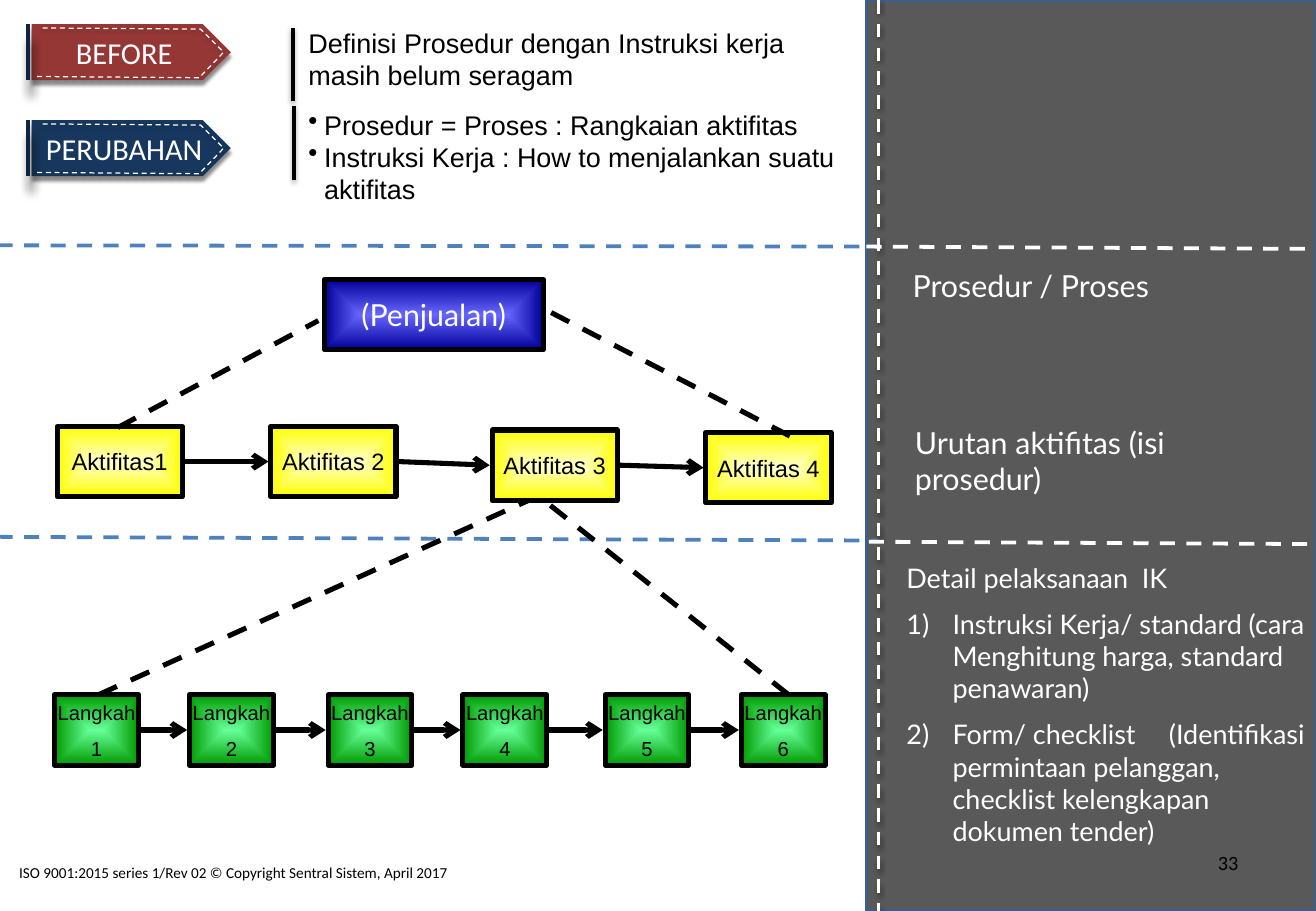
"""Build the slide on the change from procedure to work instruction."""
from dataclasses import dataclass
from itertools import pairwise
from typing import Optional

from lxml.etree import SubElement
from pptx import Presentation
from pptx.dml.color import RGBColor
from pptx.enum.dml import MSO_LINE_DASH_STYLE as Dash
from pptx.enum.shapes import MSO_CONNECTOR as Connector, MSO_SHAPE as Shape
from pptx.enum.text import MSO_ANCHOR as Anchor, PP_ALIGN as Align
from pptx.oxml.ns import qn
from pptx.util import Inches, Pt

COLOURS = {
    "black": "000000", "white": "FFFFFF", "panel": "595959", "panel_edge": "3A5F8C",
    "blue_light": "6666FF", "blue_dark": "000099", "yellow_light": "FFFFCC",
    "yellow": "FFFF00", "green_light": "66FF99", "green_dark": "009900",
    "divider": "4F81BD", "before": "953735", "change": "17375E", "tag_bar": "0F243E",
}


@dataclass(frozen=True)
class Shadow:
    opacity: int
    blur: float
    distance: float
    angle: int


TAG_SHADOW = Shadow(43, 2, 3, 85)
BAR_SHADOW = Shadow(82, 6, 10, 80)
SOFT_SHADOW = Shadow(38, 3.1, 1.6, 90)


@dataclass(frozen=True)
class Font:
    size: float
    name: str
    colour: str


@dataclass(frozen=True)
class Line:
    start: tuple[float, float]
    end: tuple[float, float]
    colour: str = "black"
    width: float = 3
    dashed: bool = False
    arrow: bool = False
    shadow: Optional[Shadow] = None


@dataclass(frozen=True)
class Box:
    left: float
    top: float
    width: float
    height: float
    texts: tuple[str, ...]
    font: Font
    centre: str = ""
    edge: str = ""


@dataclass(frozen=True)
class TextBlock:
    left: float
    top: float
    width: float
    height: float
    texts: tuple[str, ...]
    font: Font
    inset: bool = True
    gap: float = 0
    align: Align = Align.LEFT
    bullet: str = ""
    indent: float = 0
    first_bullet: int = 0
    tabs: tuple[float, ...] = ()


@dataclass(frozen=True)
class Tag:
    top: float
    text: str
    colour: str


LATO = Font(18, "Lato", "white")
LATO_SMALL = Font(16, "Lato", "white")
ARIAL = Font(16, "Arial", "black")
ACTIVITY_FONT = Font(14, "Arial", "black")
STEP_FONT = Font(12, "Arial", "black")

SALES = Box(2.67, 2.3, 1.8, 0.58, ("(Penjualan)",), LATO, "blue_light", "blue_dark")
ACTIVITIES = [
    Box(left, top, 1.03, 0.58, (text,), ACTIVITY_FONT, "yellow_light", "yellow")
    for left, top, text in ((0.47, 3.51, "Aktifitas1"), (2.23, 3.51, "Aktifitas 2"),
                            (4.05, 3.54, "Aktifitas 3"), (5.81, 3.56, "Aktifitas 4"))
]
STEPS = [
    Box(left, 5.72, 0.69, 0.58, ("Langkah", str(number)), STEP_FONT, "green_light", "green_dark")
    for number, left in enumerate((0.45, 1.56, 2.7, 3.81, 4.98, 6.1), 1)
]
TAGS = [Tag(0.2, "BEFORE", "before"), Tag(0.99, "PERUBAHAN", "change")]
LINES = [
    Line((0.97, 3.52), (2.62, 2.64), dashed=True),
    Line((6.5, 3.59), (4.51, 2.56), dashed=True),
    Line((-0.02, 4.42), (7.23, 4.45), "divider", 2.25, True),
    Line((2.41, 0.23), (2.41, 0.83), width=2, shadow=SOFT_SHADOW),
    Line((2.42, 0.87), (2.42, 1.48), width=2, shadow=SOFT_SHADOW),
    Line((-0.02, 2.02), (7.23, 2.03), "divider", 2.25, True),
    Line((7.23, 0), (7.23, 7.5), "white", 2, True, shadow=SOFT_SHADOW),
    Line((7.13, 2.03), (10.92, 2.05), "white", 2.25, True),
    Line((7.15, 4.46), (10.93, 4.48), "white", 2.25, True),
    Line((0.81, 5.72), (4.35, 4.12), dashed=True),
    Line((6.49, 5.72), (4.44, 4.09), dashed=True),
]
TEXT_BLOCKS = [
    TextBlock(7.51, 2.2, 2.42, 0.3, ("Prosedur / Proses",), LATO, inset=False),
    TextBlock(7.53, 3.49, 2.06, 0.61, ("Urutan aktifitas (isi prosedur)",), LATO, inset=False),
    TextBlock(7.46, 4.62, 3.39, 2.69, (
        "Detail pelaksanaan  IK",
        "Instruksi Kerja/ standard (cara Menghitung harga, standard penawaran)",
        "Form/ checklist\t(Identifikasi permintaan pelanggan, checklist kelengkapan dokumen tender)",
    ), LATO_SMALL, False, 8, bullet="1)", indent=0.38, first_bullet=1, tabs=(1.78, 2.16)),
    TextBlock(2.44, 0.17, 4.35, 0.64,
              ("Definisi Prosedur dengan Instruksi kerja masih belum seragam",), ARIAL),
    TextBlock(2.44, 0.84, 4.6, 0.91, (
        "Prosedur = Proses : Rangkaian aktifitas",
        "Instruksi Kerja : How to menjalankan suatu aktifitas",
    ), ARIAL, bullet="•", indent=0.13),
    TextBlock(0.06, 7.06, 7.07, 0.29,
              ("ISO 9001:2015 series 1/Rev 02 © Copyright Sentral Sistem, April 2017",),
              Font(9, "Calibri", "black")),
    TextBlock(7.76, 6.95, 2.53, 0.4, ("33",), Font(12, "Calibri", "black"), align=Align.RIGHT),
]


def rgb(name: str) -> RGBColor:
    """Return the named colour."""
    return RGBColor.from_string(COLOURS[name])


def set_shadow(shape, shadow: Optional[Shadow] = None) -> None:
    """Give a shape the shadow described, or none."""
    effects = SubElement(shape._element.spPr, qn("a:effectLst"))
    if shadow:
        outer = SubElement(effects, qn("a:outerShdw"), blurRad=str(Pt(shadow.blur)),
                           dist=str(Pt(shadow.distance)), dir=str(shadow.angle * 60000),
                           algn="tl", rotWithShape="0")
        colour = SubElement(outer, qn("a:srgbClr"), val=COLOURS["black"])
        SubElement(colour, qn("a:alpha"), val=str(shadow.opacity * 1000))


def set_gradient(shape, centre: str, edge: str) -> None:
    """Fill a shape with a gradient running from its centre."""
    gradient = SubElement(shape._element.spPr, qn("a:gradFill"), rotWithShape="1")
    stops = SubElement(gradient, qn("a:gsLst"))
    for position, name in (("0", centre), ("100000", edge)):
        stop = SubElement(stops, qn("a:gs"), pos=position)
        SubElement(stop, qn("a:srgbClr"), val=COLOURS[name])
    focus = SubElement(gradient, qn("a:path"), path="shape")
    SubElement(focus, qn("a:fillToRect"), l="50000", t="50000", r="50000", b="50000")


def set_bullet(paragraph, block: TextBlock) -> None:
    """Add the hanging indent, bullet and tab stops of a block to a paragraph."""
    properties = paragraph._p.get_or_add_pPr()
    properties.set("marL", str(Inches(block.indent)))
    properties.set("indent", str(-Inches(block.indent)))
    if block.bullet == "1)":
        SubElement(properties, qn("a:buAutoNum"), type="arabicParenR")
    else:
        SubElement(properties, qn("a:buChar"), char=block.bullet)
    if block.tabs:
        tabs = SubElement(properties, qn("a:tabLst"))
        for position in block.tabs:
            SubElement(tabs, qn("a:tab"), pos=str(Inches(position)), algn="l")


def write(frame, texts: tuple[str, ...], font: Font, align: Align, gap: float = 0,
          block: Optional[TextBlock] = None) -> None:
    """Write one paragraph for each text."""
    for index, text in enumerate(texts):
        paragraph = frame.add_paragraph() if index else frame.paragraphs[0]
        paragraph.text = text
        paragraph.alignment = align
        if index and gap:
            paragraph.space_before = Pt(gap)
        if block and block.bullet and index >= block.first_bullet:
            set_bullet(paragraph, block)
        paragraph.font.size, paragraph.font.name = Pt(font.size), font.name
        paragraph.font.color.rgb = rgb(font.colour)


def draw_line(slide, line: Line) -> None:
    """Draw a straight line or arrow."""
    connector = slide.shapes.add_connector(
        Connector.STRAIGHT, *(Inches(value) for value in line.start + line.end))
    connector.line.color.rgb, connector.line.width = rgb(line.colour), Pt(line.width)
    if line.dashed:
        connector.line.dash_style = Dash.DASH
    if line.arrow:
        SubElement(connector.line._get_or_add_ln(), qn("a:tailEnd"), type="arrow")
    set_shadow(connector, line.shadow)


def draw_box(slide, box: Box) -> None:
    """Draw a gradient box with centred text."""
    shape = slide.shapes.add_shape(Shape.RECTANGLE, Inches(box.left), Inches(box.top),
                                   Inches(box.width), Inches(box.height))
    set_gradient(shape, box.centre, box.edge)
    shape.line.color.rgb, shape.line.width = rgb("black"), Pt(3)
    set_shadow(shape)
    shape.text_frame.word_wrap = False
    shape.text_frame.vertical_anchor = Anchor.MIDDLE
    write(shape.text_frame, box.texts, box.font, Align.CENTER, 7)


def draw_chain(slide, boxes: list[Box]) -> None:
    """Draw a row of boxes joined by arrows."""
    for box in boxes:
        draw_box(slide, box)
    for box, following in pairwise(boxes):
        draw_line(slide, Line((box.left + box.width + 0.02, box.top + box.height / 2),
                              (following.left - 0.02, following.top + following.height / 2),
                              arrow=True))


def draw_tag(slide, tag: Tag) -> None:
    """Draw a pointed tag with its side bar and stitching."""
    plate = slide.shapes.add_shape(Shape.PENTAGON, Inches(0.26), Inches(tag.top),
                                   Inches(1.64), Inches(0.46))
    plate.fill.solid()
    plate.fill.fore_color.rgb = rgb(tag.colour)
    plate.line.fill.background()
    set_shadow(plate, TAG_SHADOW)
    plate.text_frame.word_wrap = False
    plate.text_frame.vertical_anchor = Anchor.MIDDLE
    write(plate.text_frame, (tag.text,), Font(18, "Calibri", "white"), Align.CENTER)
    draw_line(slide, Line((0.23, tag.top), (0.23, tag.top + 0.46), "tag_bar", 2,
                          shadow=BAR_SHADOW))
    corners = [(Inches(x), Inches(tag.top + y)) for x, y in
               ((0.35, 0.03), (1.65, 0.04), (1.84, 0.23), (1.64, 0.44), (0.29, 0.43))]
    builder = slide.shapes.build_freeform(*corners[0])
    builder.add_line_segments(corners[1:], close=False)
    stitching = builder.convert_to_shape()
    stitching.fill.background()
    stitching.line.color.rgb, stitching.line.width = rgb("white"), Pt(0.75)
    stitching.line.dash_style = Dash.DASH
    set_shadow(stitching, SOFT_SHADOW)


def draw_text(slide, block: TextBlock) -> None:
    """Draw a wrapped text box."""
    frame = slide.shapes.add_textbox(Inches(block.left), Inches(block.top),
                                     Inches(block.width), Inches(block.height)).text_frame
    frame.word_wrap = True
    if not block.inset:
        frame.margin_left = frame.margin_right = frame.margin_top = frame.margin_bottom = 0
    write(frame, block.texts, block.font, block.align, block.gap, block)


def draw_panel(slide) -> None:
    """Draw the grey panel on the right."""
    panel = slide.shapes.add_shape(Shape.RECTANGLE, Inches(7.13), 0, Inches(3.7), Inches(7.5))
    panel.fill.solid()
    panel.fill.fore_color.rgb = rgb("panel")
    panel.line.color.rgb, panel.line.width = rgb("panel_edge"), Pt(2)
    set_shadow(panel)


def main() -> None:
    """Build and save the presentation."""
    presentation = Presentation()
    presentation.slide_width, presentation.slide_height = Inches(10.83), Inches(7.5)
    slide = presentation.slides.add_slide(presentation.slide_layouts[6])
    draw_panel(slide)
    draw_box(slide, SALES)
    for boxes in (ACTIVITIES, STEPS):
        draw_chain(slide, boxes)
    for tag in TAGS:
        draw_tag(slide, tag)
    for line in LINES:
        draw_line(slide, line)
    for block in TEXT_BLOCKS:
        draw_text(slide, block)
    presentation.save("out.pptx")


if __name__ == "__main__":
    main()
